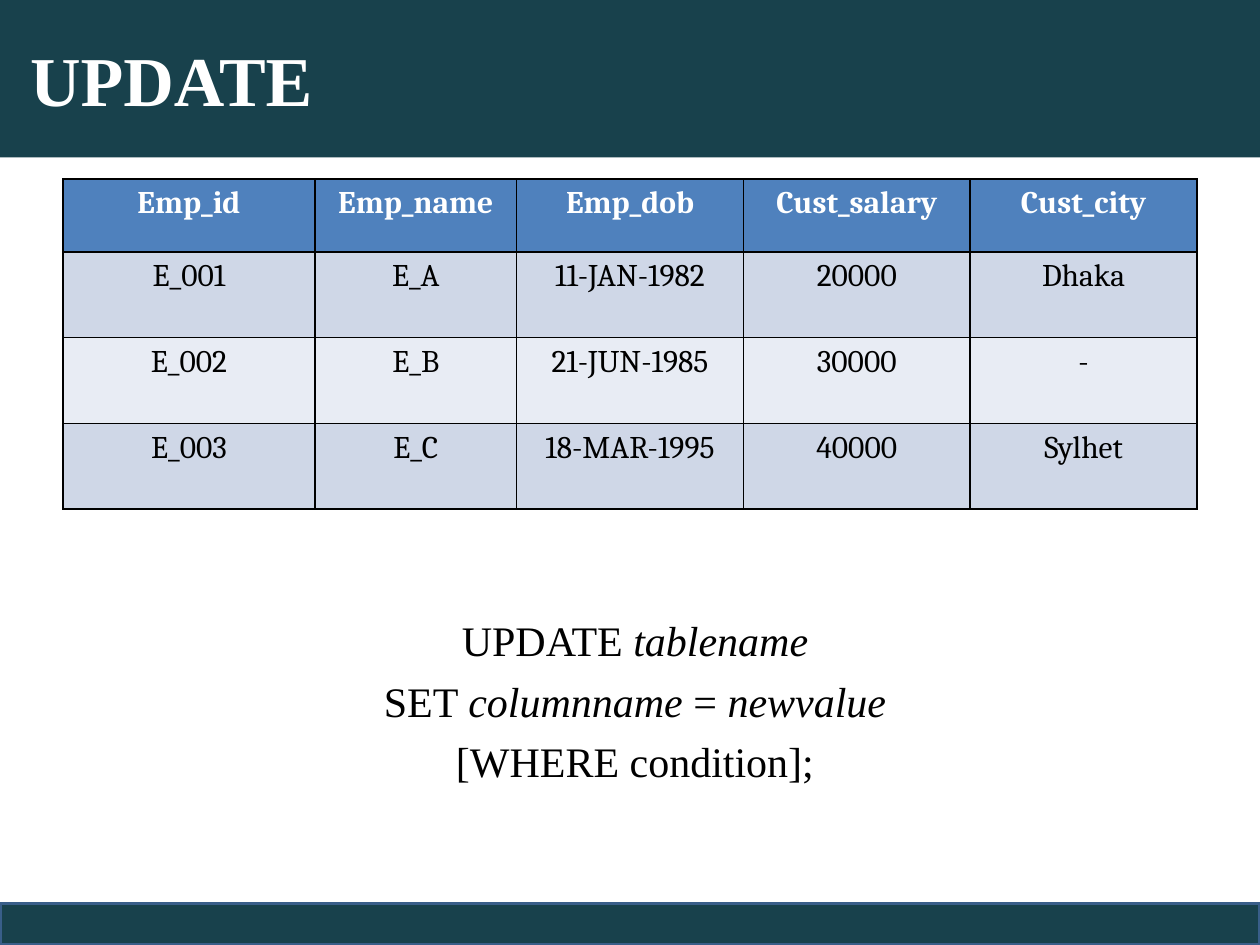
import pptx
import pptx.dml.color
import pptx.enum.shapes
import pptx.enum.text
import pptx.oxml
import pptx.oxml.ns
import pptx.util
from pptx.util import Inches

COLORS = {
    "bar": "18414C", "bar_line": "395E89", "white": "FFFFFF", "black": "000000",
    "header": "4F81BD", "band_dark": "CFD7E7", "band_light": "E8ECF4",
}
SERIF = "Times New Roman"
TABLE_FONT = "Cambria"
CENTER = pptx.enum.text.PP_ALIGN.CENTER
MIDDLE = pptx.enum.text.MSO_ANCHOR.MIDDLE


def rgb(name):
    return pptx.dml.color.RGBColor.from_string(COLORS[name])


class SlideBuilder:
    def __init__(self, prs):
        self.slide = prs.slides.add_slide(prs.slide_layouts[6])

    def add_run(self, p, text, font, size, color, bold=False, italic=False):
        r = p.add_run()
        r.text = text
        r.font.name = font
        r.font.size = pptx.util.Pt(size)
        r.font.color.rgb = rgb(color)
        r.font.bold = bold
        r.font.italic = italic

    def bar(self, top, height, line=None):
        sp = self.slide.shapes.add_shape(
            pptx.enum.shapes.MSO_SHAPE.RECTANGLE,
            0, Inches(top), Inches(10), Inches(height))
        sp.shadow.inherit = False
        sp.fill.solid()
        sp.fill.fore_color.rgb = rgb("bar")
        if line:
            sp.line.color.rgb = rgb(line)
            sp.line.width = pptx.util.Pt(2)
        else:
            sp.line.fill.background()
        return sp

    def title(self, text):
        tf = self.bar(0, 1.25).text_frame
        tf.margin_left = Inches(0.24)
        tf.vertical_anchor = MIDDLE
        p = tf.paragraphs[0]
        p.alignment = pptx.enum.text.PP_ALIGN.LEFT
        self.add_run(p, text, SERIF, 40, "white", bold=True)

    def syntax(self, lines, left, top, width, height):
        """Each line is a list of (text, italic) pairs."""
        box = self.slide.shapes.add_textbox(
            Inches(left), Inches(top), Inches(width), Inches(height))
        tf = box.text_frame
        tf.word_wrap = True
        tf.vertical_anchor = MIDDLE
        for i, line in enumerate(lines):
            p = tf.add_paragraph() if i else tf.paragraphs[0]
            p.alignment = CENTER
            if i:
                p.space_before = pptx.util.Pt(5.8)
            for text, italic in line:
                self.add_run(p, text, SERIF, 24, "black", italic=italic)

    def cell_borders(self, cell):
        tc_pr = cell._tc.get_or_add_tcPr()
        for i, side in enumerate(("lnL", "lnR", "lnT", "lnB")):
            tc_pr.insert(i, pptx.oxml.parse_xml(
                f'<a:{side} {pptx.oxml.ns.nsdecls("a")} w="12700"><a:solidFill>'
                f'<a:srgbClr val="{COLORS["black"]}"/></a:solidFill></a:{side}>'))

    def table(self, rows, left, top, widths, heights):
        table = self.slide.shapes.add_table(
            len(rows), len(widths), Inches(left), Inches(top),
            Inches(sum(widths)), Inches(sum(heights))).table
        for column, width in zip(table.columns, widths):
            column.width = Inches(width)
        for i, (row, height) in enumerate(zip(rows, heights)):
            table.rows[i].height = Inches(height)
            header = i == 0
            fill = "header" if header else ("band_light", "band_dark")[i % 2]
            for j, text in enumerate(row):
                cell = table.cell(i, j)
                cell.fill.solid()
                cell.fill.fore_color.rgb = rgb(fill)
                p = cell.text_frame.paragraphs[0]
                p.alignment = CENTER
                self.add_run(p, text, TABLE_FONT, 18,
                             "white" if header else "black", bold=header)
                self.cell_borders(cell)


def main():
    prs = pptx.Presentation()
    prs.slide_width, prs.slide_height = Inches(10), Inches(7.5)
    s = SlideBuilder(prs)

    # Footer bar and title
    s.bar(7.17, 0.33, line="bar_line")
    s.title("UPDATE")

    # Statement syntax
    s.syntax([
        [("UPDATE ", False), ("tablename", True)],
        [("SET ", False), ("columnname", True), (" = ", False), ("newvalue", True)],
        [("[WHERE condition];", False)],
    ], 0.54, 4.71, 9, 1.7)

    # Employee table
    s.table([
        ["Emp_id", "Emp_name", "Emp_dob", "Cust_salary", "Cust_city"],
        ["E_001", "E_A", "11-JAN-1982", "20000", "Dhaka"],
        ["E_002", "E_B", "21-JUN-1985", "30000", "-"],
        ["E_003", "E_C", "18-MAR-1995", "40000", "Sylhet"],
    ], 0.5, 1.42, [2, 1.6, 1.8, 1.8, 1.8], [0.58] + [0.68] * 3)

    prs.save("out.pptx")


if __name__ == "__main__":
    main()
